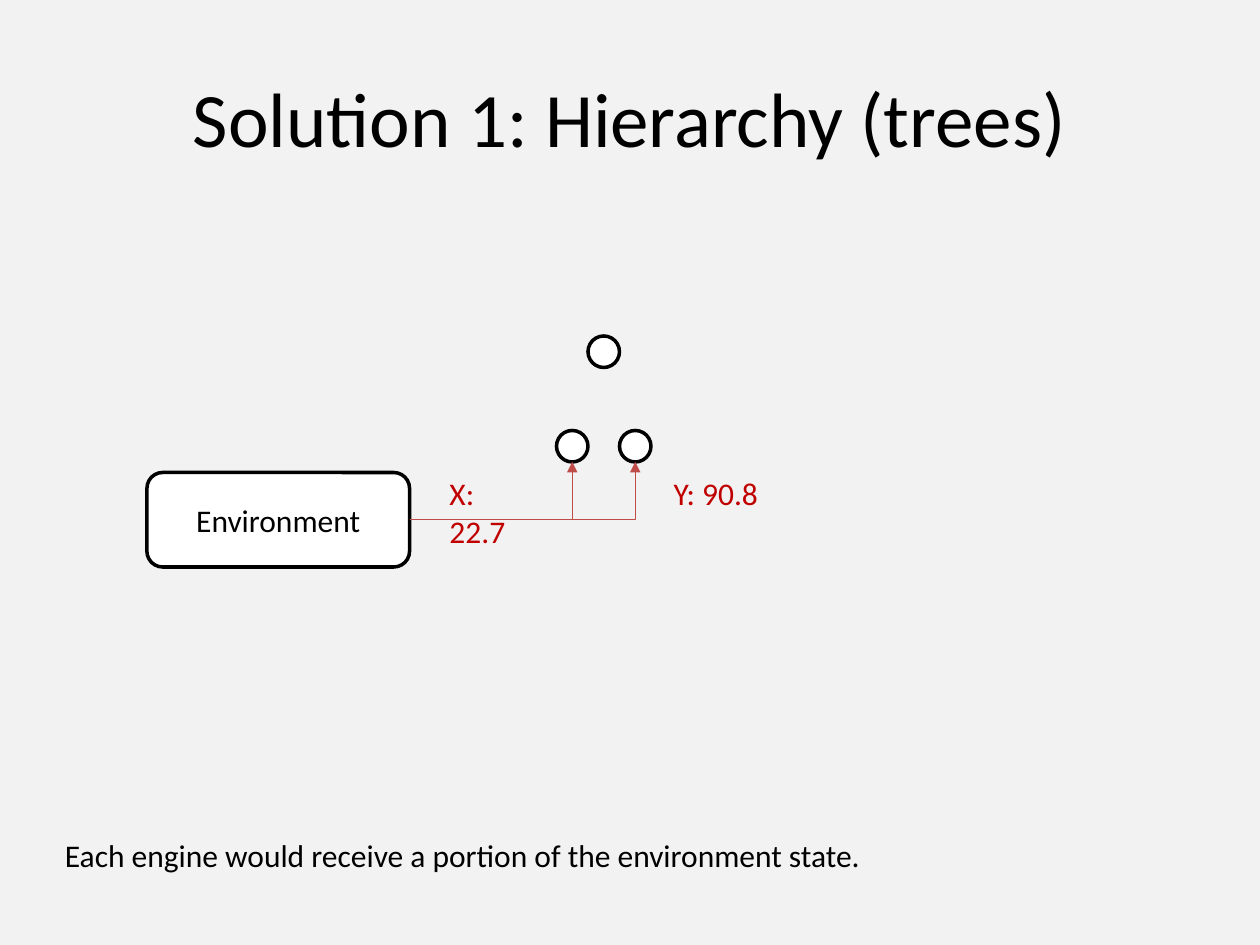
from lxml import etree
from pptx import Presentation
from pptx import util as u
from pptx.dml.color import RGBColor
from pptx.enum import shapes, text
from pptx.oxml.ns import qn

COLS, ROWS = 120, 90
HEX = {"back": "F2F2F2", "ink": "000000", "node": "FFFFFF",
       "arrow": "BF4C48", "value": "C00000"}

deck = Presentation()
deck.slide_width, deck.slide_height = u.Inches(10), u.Inches(7.5)
CELL = deck.slide_width / COLS


def color(name):
    """Look up a palette colour."""
    return RGBColor.from_string(HEX[name])


def span(*cells):
    """Turn grid cells into lengths."""
    return [round(n * CELL) for n in cells]


def write(shape, words, size=18, ink="ink", align="LEFT", **frame):
    """Put one formatted paragraph in a shape."""
    body = shape.text_frame
    body.text = words
    for name, value in frame.items():
        setattr(body, name, value)
    line = body.paragraphs[0]
    line.alignment = getattr(text.PP_ALIGN, align)
    for name, value in {"size": u.Pt(size), "name": "Calibri"}.items():
        setattr(line.font, name, value)
    line.font.color.rgb = color(ink)


def label(slide, box, words, ink="ink", wrap=True):
    """Add a text box that grows with its words."""
    write(slide.shapes.add_textbox(*span(*box)), words, ink=ink,
          word_wrap=wrap, auto_size=text.MSO_AUTO_SIZE.SHAPE_TO_FIT_TEXT)


def node(slide, kind, box):
    """Add a white shape with a black outline."""
    shape = slide.shapes.add_shape(kind, *span(*box))
    shape.shadow.inherit = False
    shape.fill.solid()
    shape.fill.fore_color.rgb = color("node")
    shape.line.color.rgb = color("ink")
    shape.line.width = u.Pt(2)
    return shape


def arrow(slide, start, end):
    """Add an arrow that runs across and then turns once."""
    link = slide.shapes.add_connector(
        shapes.MSO_CONNECTOR.ELBOW, *span(*start, *end))
    link.line.color.rgb = color("arrow")
    link.line.width = u.Pt(0.75)
    props = link._element.spPr
    props.find(qn("a:prstGeom")).set("prst", "bentConnector2")
    etree.SubElement(props.find(qn("a:ln")), qn("a:tailEnd"), type="triangle")
    etree.SubElement(props, qn("a:effectLst"))


def title(slide, box, words):
    """Place and format the title."""
    head = slide.shapes.title
    head.left, head.top, head.width, head.height = span(*box)
    write(head, words, size=44, align="CENTER",
          vertical_anchor=text.MSO_ANCHOR.MIDDLE)


def tree(slide, box, values):
    """Draw the environment feeding two leaves under a root."""
    x, y, wide, high = box
    dot = high / 6
    leaf, gap = y + 3 * dot, 2 * dot
    left = x + 13 * dot
    oval = shapes.MSO_SHAPE.OVAL
    node(slide, oval, (left + gap / 2, y, dot, dot))
    for i in range(len(values)):
        node(slide, oval, (left + i * gap, leaf, dot, dot))
    room = (x, y + high - 5 / 3 * dot, wide * 0.41, 3 * dot)
    env = node(slide, shapes.MSO_SHAPE.ROUNDED_RECTANGLE, room)
    write(env, "Environment", align="CENTER",
          vertical_anchor=text.MSO_ANCHOR.MIDDLE)
    out = (x + room[2], room[1] + room[3] / 2)
    for i in reversed(range(len(values))):
        arrow(slide, out, (left + (i + 0.5) * gap - dot / 2, leaf + dot))
    for i, words in enumerate(values):
        label(slide, (x + wide * (0.453 + 0.35 * i), leaf + 1.2 * dot,
                      wide * 0.175, 1.6 * dot), words, "value", False)


def main():
    """Build the slide and save it."""
    slide = deck.slides.add_slide(deck.slide_layouts[5])
    slide.background.fill.solid()
    slide.background.fill.fore_color.rgb = color("back")
    title(slide, (6, 3.6, 108, 15), "Solution 1: Hierarchy (trees)")
    label(slide, (5, 79, 109, 4.8),
          "Each engine would receive a portion of the environment state.")
    tree(slide, (14, 32, 61, 18), ("X: 22.7", "Y: 90.8"))
    deck.save("out.pptx")


if __name__ == "__main__":
    main()
